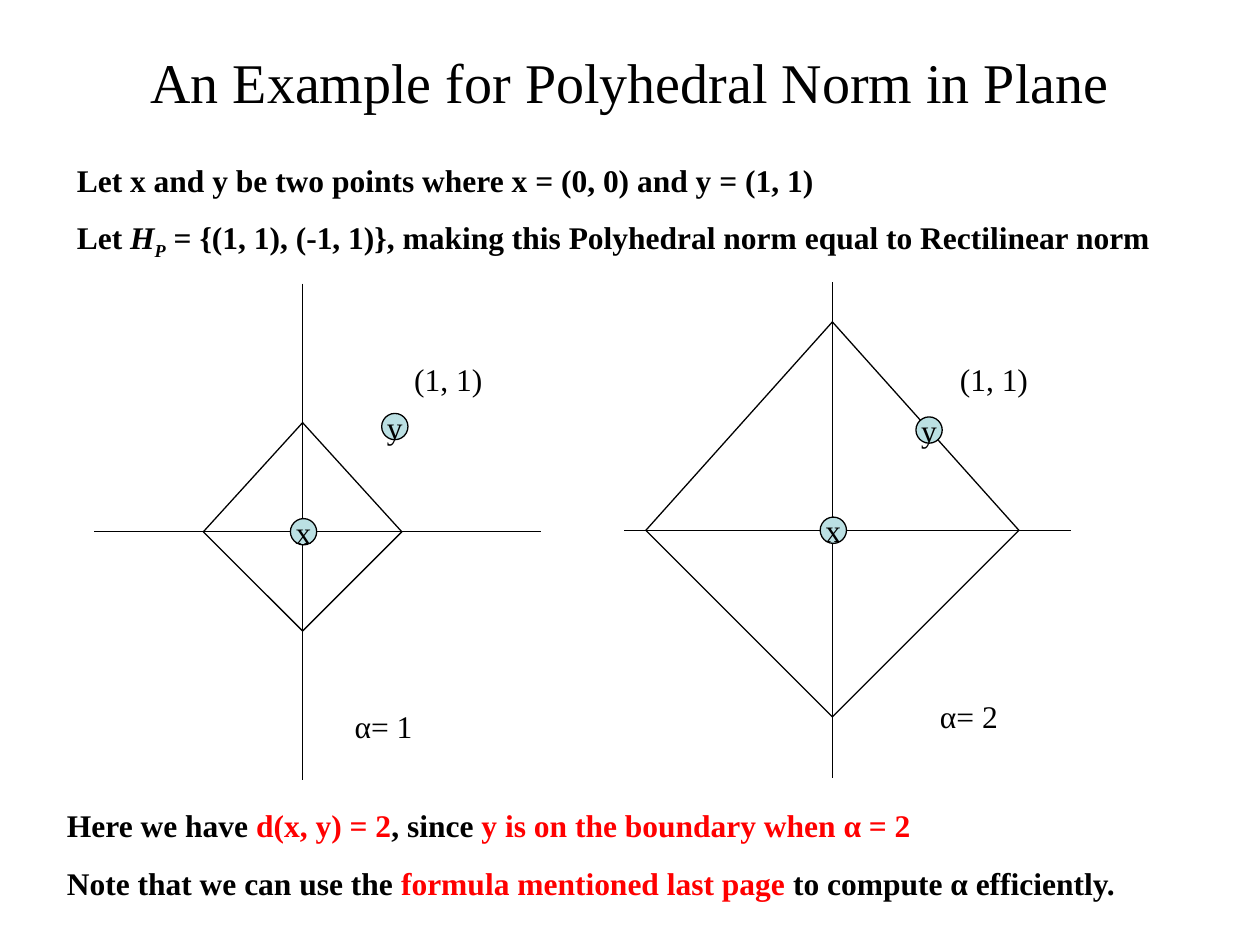
from dataclasses import dataclass
from itertools import pairwise

from lxml import etree
from pptx import Presentation
from pptx.dml.color import RGBColor
from pptx.enum.shapes import MSO_CONNECTOR, MSO_SHAPE
from pptx.enum.text import MSO_ANCHOR, PP_ALIGN
from pptx.oxml.ns import qn
from pptx.util import Cm, Pt

STRAIGHT = MSO_CONNECTOR.STRAIGHT
OVAL = MSO_SHAPE.OVAL
MIDDLE, TOP = MSO_ANCHOR.MIDDLE, MSO_ANCHOR.TOP
CENTER, LEFT = PP_ALIGN.CENTER, PP_ALIGN.LEFT


@dataclass(frozen=True)
class Theme:
    font: str = "Times New Roman"
    ink: RGBColor = RGBColor(0, 0, 0)
    accent: RGBColor = RGBColor(255, 0, 0)
    dot: RGBColor = RGBColor(0xBB, 0xE0, 0xE3)
    title_size: Pt = Pt(32)
    body_size: Pt = Pt(18)
    line_width: Pt = Pt(0.75)
    para_gap: Pt = Pt(11.2)


class PageBuilder:
    def __init__(self, page, theme):
        self.page = page
        self.theme = theme

    def fill_frame(self, frame, paragraphs, align=LEFT, **formats):
        for index, spans in enumerate(paragraphs):
            para = frame.add_paragraph() if index else frame.paragraphs[0]
            para.alignment = align
            if index:
                para.space_before = self.theme.para_gap
            for text, changes in spans:
                self.span(para, text, {**formats, **changes})

    def span(self, para, text, formats):
        span = para.add_run()
        span.text = text
        values = {"name": self.theme.font, "size": self.theme.body_size, **formats}
        span.font.color.rgb = values.pop("color", self.theme.ink)
        baseline = values.pop("baseline", None)
        for name, value in values.items():
            setattr(span.font, name, value)
        if baseline:
            span._r.get_or_add_rPr().set("baseline", baseline)

    def text(self, left, top, width, height, paragraphs, anchor=TOP, **formats):
        box = self.page.shapes.add_textbox(Cm(left), Cm(top), Cm(width), Cm(height))
        frame = box.text_frame
        frame.word_wrap = True
        frame.vertical_anchor = anchor
        self.fill_frame(frame, paragraphs, **formats)

    def label(self, left, top, text):
        self.text(left, top, 2.2, 1.02, [[(text, {})]])

    def line(self, start, end):
        points = [Cm(value) for value in (*start, *end)]
        line = self.page.shapes.add_connector(STRAIGHT, *points)
        line.line.color.rgb = self.theme.ink
        line.line.width = self.theme.line_width
        etree.SubElement(line._element.spPr, qn("a:effectLst"))

    def dot(self, x, y, name, size=0.53):
        dot = self.page.shapes.add_shape(
            OVAL, Cm(x - size / 2), Cm(y - size / 2), Cm(size), Cm(size)
        )
        dot.shadow.inherit = False
        dot.fill.solid()
        dot.fill.fore_color.rgb = self.theme.dot
        dot.line.color.rgb = self.theme.ink
        dot.line.width = self.theme.line_width
        dot.text_frame.word_wrap = False
        dot.text_frame.vertical_anchor = MIDDLE
        self.fill_frame(dot.text_frame, [[(name, {})]], align=CENTER)

    def plot(self, x, y, reach, peak, point):
        self.line((x - 4.2, y), (x + 4.8, y))
        self.line((x, y - 5), (x, y + 5))
        corners = [(x - reach, y), (x, y - peak), (x + reach, y), (x, y + reach)]
        for start, end in pairwise(corners + corners[:1]):
            self.line(start, end)
        self.dot(x + 0.02, y, "x")
        self.dot(*point, "y")


def main():
    theme = Theme()
    deck = Presentation()
    deck.slide_width, deck.slide_height = Cm(25.4), Cm(19.05)
    builder = PageBuilder(deck.slides.add_slide(deck.slide_layouts[6]), theme)

    builder.text(
        1.27, 0.76, 22.86, 1.75,
        [[("An Example for Polyhedral Norm in Plane", {})]],
        anchor=MIDDLE, align=CENTER, size=theme.title_size,
    )
    builder.text(
        1.3, 3.12, 23.01, 2.29,
        [
            [("Let x and y be two points where x = (0, 0) and y = (1, 1)", {})],
            [
                ("Let ", {}),
                ("H", {"italic": True}),
                ("P", {"italic": True, "baseline": "-25000"}),
                (" = {(1, 1), (-1, 1)}, making this Polyhedral norm"
                 " equal to Rectilinear norm", {}),
            ],
        ],
        bold=True,
    )

    builder.plot(6.1, 10.72, reach=2, peak=2.2, point=(7.96, 8.6))
    builder.plot(16.78, 10.69, reach=3.76, peak=4.2, point=(18.73, 8.67))

    for left, top, text in (
        (8.1, 7.14, "(1, 1)"),
        (19.1, 7.14, "(1, 1)"),
        (6.9, 14.12, "α= 1"),
        (18.7, 13.92, "α= 2"),
    ):
        builder.label(left, top, text)

    red = {"color": theme.accent}
    builder.text(
        1.1, 16.13, 23.39, 2.18,
        [
            [
                ("Here we have ", {}),
                ("d(x, y) = 2", red),
                (", since ", {}),
                ("y is on the boundary when α = 2", red),
            ],
            [
                ("Note that we can use the ", {}),
                ("formula mentioned last page", red),
                (" to compute α efficiently.", {}),
            ],
        ],
        bold=True,
    )
    deck.save("out.pptx")


if __name__ == "__main__":
    main()
